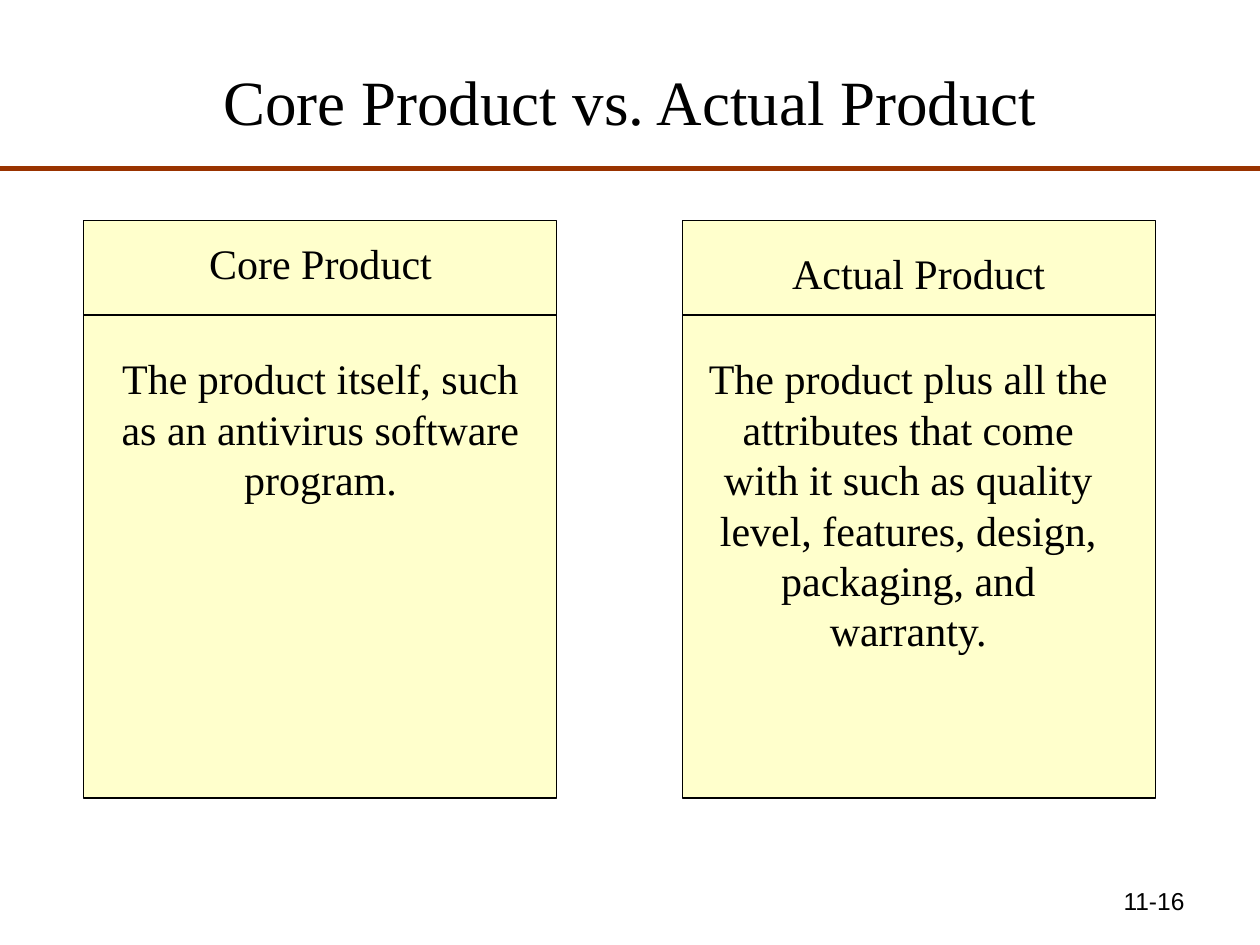
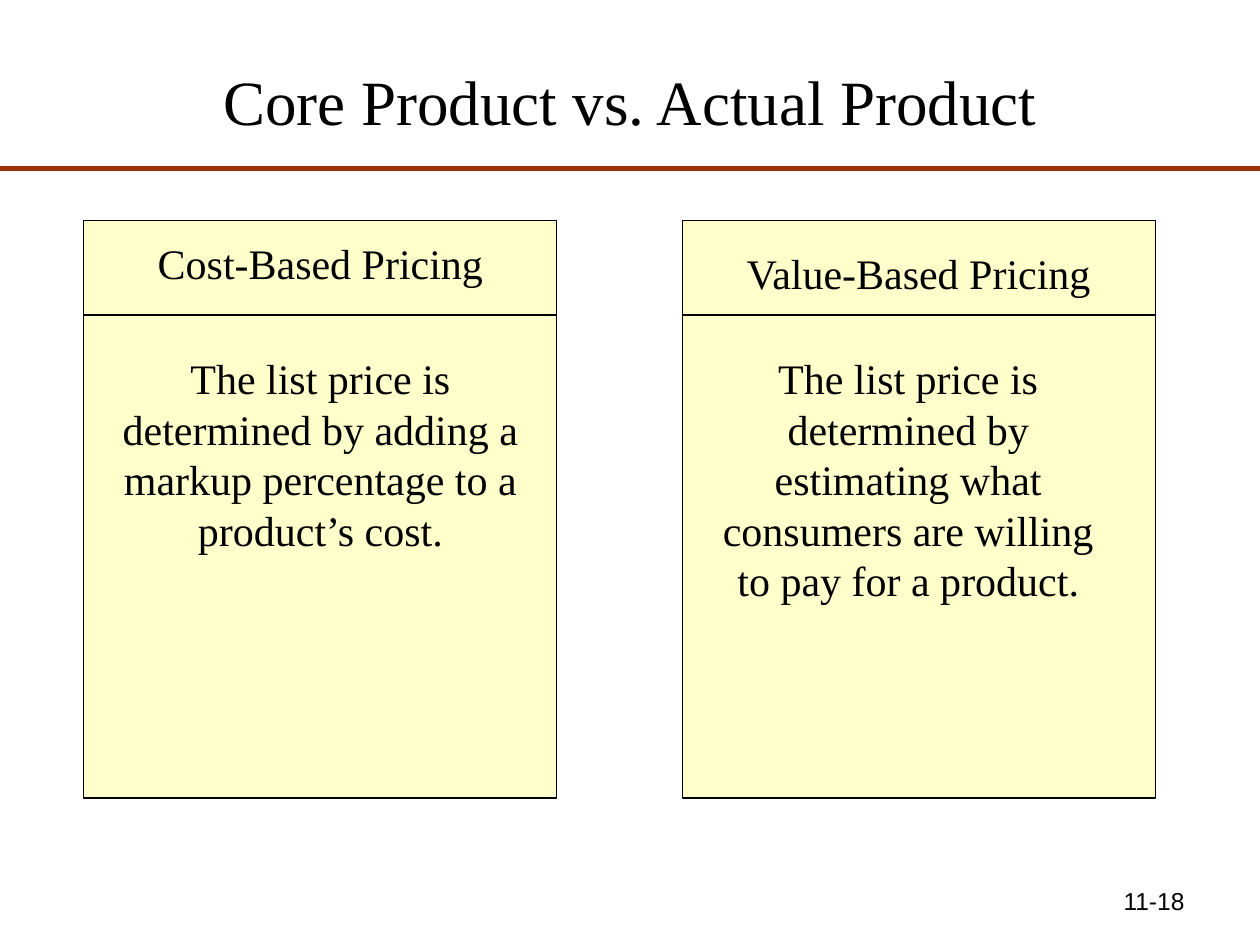
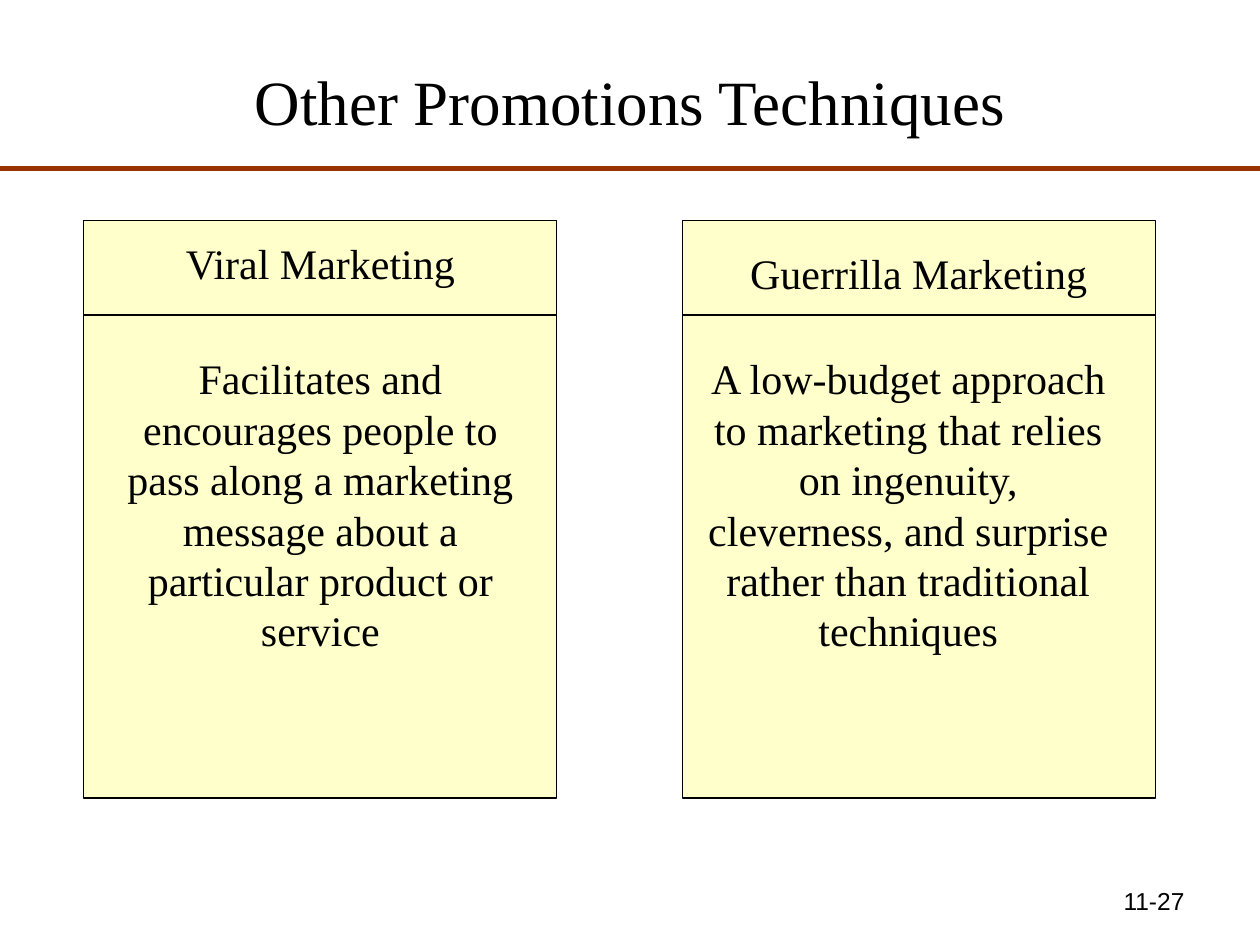
from dataclasses import dataclass

from lxml import etree
from pptx import Presentation
from pptx.dml.color import RGBColor
from pptx.enum.shapes import MSO_CONNECTOR, MSO_SHAPE
from pptx.enum.text import MSO_ANCHOR, MSO_AUTO_SIZE, PP_ALIGN
from pptx.oxml.ns import qn
from pptx.util import Cm, Pt

STRAIGHT = MSO_CONNECTOR.STRAIGHT
RECTANGLE = MSO_SHAPE.RECTANGLE
TOP, MIDDLE = MSO_ANCHOR.TOP, MSO_ANCHOR.MIDDLE
CENTER, RIGHT = PP_ALIGN.CENTER, PP_ALIGN.RIGHT
NO_FIT, GROW = MSO_AUTO_SIZE.NONE, MSO_AUTO_SIZE.SHAPE_TO_FIT_TEXT


@dataclass(frozen=True)
class Theme:
    ink: RGBColor = RGBColor(0x00, 0x00, 0x00)
    rule: RGBColor = RGBColor(0x99, 0x33, 0x00)
    panel: RGBColor = RGBColor(0xFF, 0xFF, 0xCC)
    serif: str = "Times New Roman"
    sans: str = "Arial"
    title_size: int = 36
    text_size: int = 24
    number_size: int = 14
    leading: float = 1.2
    rule_width: float = 3
    border_width: float = 0.75


THEME = Theme()

# Page and panel geometry, in centimetres
PAGE_W, PAGE_H = 25.4, 19.05
PANEL_TOP, PANEL_W, PANEL_H = 4.45, 9.53, 11.64
DIVIDER_Y, BODY_TOP = 6.35, 6.99
HEADING_W, BODY_W = 9.1, 8.68
LINE_H, INSET_V = 1.02, 0.25


@dataclass(frozen=True)
class Column:
    left: float
    heading_left: float
    heading_top: float
    body_left: float


COLUMNS = (
    Column(1.69, 1.91, 4.66, 2.12),
    Column(13.76, 13.97, 4.87, 13.97),
)

# Title, page number, then (heading, body, body lines) for each column
SLIDES = (
    ("Core Product vs. Actual Product", "11-16", (
        ("Core Product",
         "The product itself, such as an antivirus software program.", 3),
        ("Actual Product",
         "The product plus all the attributes that come with it such as "
         "quality level, features, design, packaging, and warranty.", 6),
    )),
    ("Core Product vs. Actual Product", "11-18", (
        ("Cost-Based Pricing",
         "The list price is determined by adding a markup percentage to a "
         "product’s cost.", 4),
        ("Value-Based Pricing",
         "The list price is determined by estimating what consumers are "
         "willing to pay for a product.", 5),
    )),
    ("Other Promotions Techniques", "11-27", (
        ("Viral Marketing",
         "Facilitates and encourages people to pass along a marketing "
         "message about a particular product or service", 6),
        ("Guerrilla Marketing",
         "A low-budget approach to marketing that relies on ingenuity, "
         "cleverness, and surprise rather than traditional techniques", 6),
    )),
)


def add_text(s, text, left, top, width, height, size=THEME.text_size,
             font=THEME.serif, align=CENTER, anchor=TOP, fit=GROW):
    tf = s.shapes.add_textbox(Cm(left), Cm(top), Cm(width), Cm(height)).text_frame
    tf.word_wrap = True
    tf.auto_size = fit
    tf.vertical_anchor = anchor
    p = tf.paragraphs[0]
    p.text = text
    p.alignment = align
    p.line_spacing = Pt(size * THEME.leading)
    p.font.name = font
    p.font.size = Pt(size)
    p.font.color.rgb = THEME.ink


def add_rule(s, left, y, width, color, weight):
    line = s.shapes.add_connector(STRAIGHT, Cm(left), Cm(y), Cm(left + width), Cm(y))
    line.line.color.rgb = color
    line.line.width = Pt(weight)
    etree.SubElement(line._element.spPr, qn("a:effectLst"))


def add_panel(s, left):
    sp = s.shapes.add_shape(RECTANGLE, Cm(left), Cm(PANEL_TOP), Cm(PANEL_W), Cm(PANEL_H))
    sp.shadow.inherit = False
    sp.fill.solid()
    sp.fill.fore_color.rgb = THEME.panel
    sp.line.color.rgb = THEME.ink
    sp.line.width = Pt(THEME.border_width)


def add_column(s, column, heading, body, lines):
    add_panel(s, column.left)
    add_rule(s, column.left, DIVIDER_Y, PANEL_W, THEME.ink, THEME.border_width)
    add_text(s, heading, column.heading_left, column.heading_top,
             HEADING_W, LINE_H + INSET_V)
    add_text(s, body, column.body_left, BODY_TOP, BODY_W, lines * LINE_H + INSET_V)


def add_frame(s, title, number):
    add_text(s, title, 1.27, 0.43, 22.86, 3.18, size=THEME.title_size,
             anchor=MIDDLE, fit=NO_FIT)
    add_rule(s, 0, 3.39, PAGE_W, THEME.rule, THEME.rule_width)
    add_text(s, number, 18.21, 17.73, 5.92, 1.32, size=THEME.number_size,
             font=THEME.sans, align=RIGHT, fit=NO_FIT)


def main():
    prs = Presentation()
    prs.slide_width, prs.slide_height = Cm(PAGE_W), Cm(PAGE_H)
    blank = prs.slide_layouts[6]
    for title, number, contents in SLIDES:
        s = prs.slides.add_slide(blank)
        add_frame(s, title, number)
        for column, content in zip(COLUMNS, contents):
            add_column(s, column, *content)
    prs.save("out.pptx")


if __name__ == "__main__":
    main()
